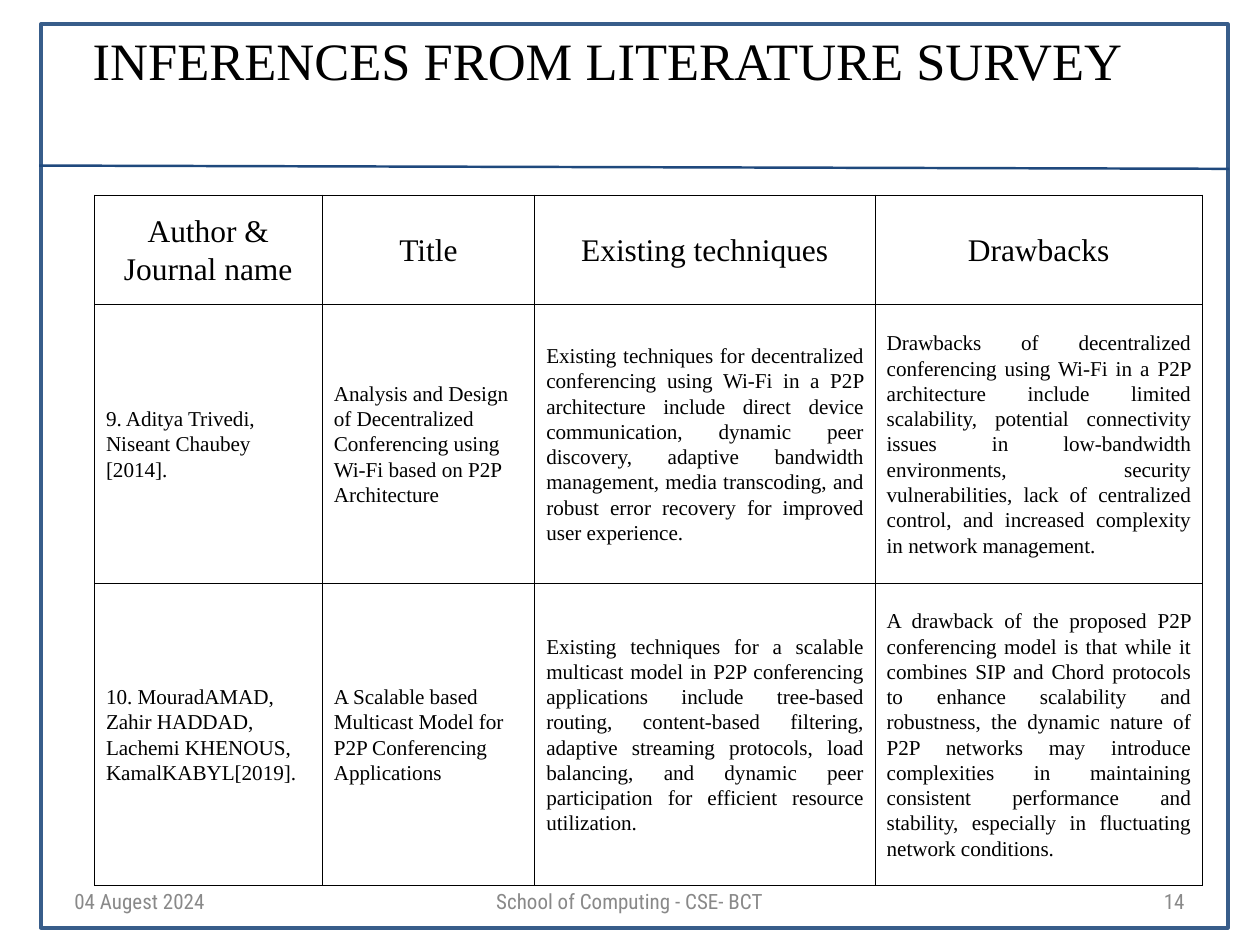
from lxml import etree
from pptx import Presentation, util as u
from pptx.dml.color import RGBColor
from pptx.enum import shapes, text
from pptx.oxml import parse_xml
from pptx.oxml.ns import nsdecls, qn

ALIGN = text.PP_ALIGN
ANCHOR = text.MSO_ANCHOR
SERIF = "Times New Roman"
SANS = "Roboto Condensed"
BLACK = "000000"
GREY = "898989"

HEADS = ["Author & Journal name", "Title", "Existing techniques", "Drawbacks"]
PAPERS = [
    [
        "9. Aditya Trivedi, Niseant Chaubey [2014].",
        "Analysis and Design of Decentralized Conferencing using Wi-Fi based on "
        "P2P Architecture",
        "Existing techniques for decentralized conferencing using Wi-Fi in a P2P "
        "architecture include direct device communication, dynamic peer discovery, "
        "adaptive bandwidth management, media transcoding, and robust error recovery "
        "for improved user experience.",
        "Drawbacks of decentralized conferencing using Wi-Fi in a P2P architecture "
        "include limited scalability, potential connectivity issues in low-bandwidth "
        "environments, security vulnerabilities, lack of centralized control, and "
        "increased complexity in network management.",
    ],
    [
        "10. MouradAMAD, Zahir HADDAD, Lachemi KHENOUS, KamalKABYL[2019].",
        "A Scalable based Multicast Model for P2P Conferencing Applications",
        "Existing techniques for a scalable multicast model in P2P conferencing "
        "applications include tree-based routing, content-based filtering, adaptive "
        "streaming protocols, load balancing, and dynamic peer participation for "
        "efficient resource utilization.",
        "A drawback of the proposed P2P conferencing model is that while it combines "
        "SIP and Chord protocols to enhance scalability and robustness, the dynamic "
        "nature of P2P networks may introduce complexities in maintaining consistent "
        "performance and stability, especially in fluctuating network conditions.",
    ],
]


def color(code):
    return RGBColor.from_string(code)


def write(frame, words, size, lead, align, font=SERIF, ink=BLACK):
    """Fill a text frame with one paragraph; lead is its line height in points."""
    frame.text = words
    para = frame.paragraphs[0]
    para.alignment = align
    para.line_spacing = u.Pt(lead)
    para.font.name = font
    para.font.size = u.Pt(size)
    para.font.color.rgb = color(ink)


def border(cell, ink, width):
    props = cell._tc.get_or_add_tcPr()
    for spot, side in enumerate(("lnL", "lnR", "lnT", "lnB")):
        line = parse_xml(
            f'<a:{side} {nsdecls("a")} w="{u.Pt(width)}"><a:solidFill>'
            f'<a:srgbClr val="{ink}"/></a:solidFill></a:{side}>'
        )
        props.insert(spot, line)


class Page:
    """Holds the current slide and draws elements on it; lengths are in cm."""

    def __init__(self, deck):
        self.slide = deck.slides.add_slide(deck.slide_layouts[5])
        self.shapes = self.slide.shapes

    def frame(self, box, ink, width):
        rect = self.shapes.add_shape(shapes.MSO_SHAPE.RECTANGLE, *map(u.Cm, box))
        rect.shadow.inherit = False
        rect.fill.background()
        rect.line.color.rgb = color(ink)
        rect.line.width = u.Pt(width)

    def rule(self, ends, ink, width):
        line = self.shapes.add_connector(
            shapes.MSO_CONNECTOR.STRAIGHT, *map(u.Cm, ends)
        )
        line.line.color.rgb = color(ink)
        line.line.width = u.Pt(width)
        etree.SubElement(line._element.spPr, qn("a:effectLst"))

    def place(self, shape, box):
        """Move a text shape and strip its margins."""
        shape.left, shape.top, shape.width, shape.height = map(u.Cm, box)
        frame = shape.text_frame
        frame.margin_left = frame.margin_right = 0
        frame.margin_top = frame.margin_bottom = 0
        frame.word_wrap = True
        frame.auto_size = text.MSO_AUTO_SIZE.NONE
        frame.vertical_anchor = ANCHOR.TOP
        return frame

    def title(self, words, box):
        frame = self.place(self.shapes.title, box)
        write(frame, words, 32, 38.4, ALIGN.CENTER)

    def label(self, words, box, align):
        frame = self.place(self.shapes.add_textbox(0, 0, 0, 0), box)
        write(frame, words, 12.8, 15.3, align, SANS, GREY)

    def table(self, rows, left, top, widths, heights):
        grid = self.shapes.add_table(
            len(rows), len(widths), u.Cm(left), u.Cm(top),
            u.Cm(sum(widths)), u.Cm(sum(heights)),
        ).table
        grid.first_row = grid.horz_banding = False
        for col, width in zip(grid.columns, widths):
            col.width = u.Cm(width)
        for i, (row, height) in enumerate(zip(rows, heights)):
            grid.rows[i].height = u.Cm(height)
            for j, words in enumerate(row):
                self.cell(grid.cell(i, j), words, i == 0, j >= 2)

    def cell(self, cell, words, head, wide):
        cell.margin_left = cell.margin_right = u.Cm(0.25)
        cell.margin_top = cell.margin_bottom = u.Cm(0.25)
        cell.vertical_anchor = ANCHOR.MIDDLE
        cell.fill.background()
        border(cell, BLACK, 0.37)
        if head:
            write(cell.text_frame, words, 19.2, 23, ALIGN.CENTER)
        else:
            align = ALIGN.JUSTIFY if wide else ALIGN.LEFT
            write(cell.text_frame, words, 12.9, 15.4, align)


def main():
    deck = Presentation()
    deck.slide_width, deck.slide_height = u.Cm(27.1), u.Cm(20.32)
    page = Page(deck)
    page.frame((0.88, 0.52, 25.53, 19.43), "385D8A", 2.25)
    page.rule((0.84, 3.56, 26.44, 3.63), "1F497D", 1.5)
    page.title("INFERENCES FROM LITERATURE SURVEY", (1.14, 0.61, 23.88, 3.33))
    for words, left, width, align in (
        ("04 Augest 2024", 1.6, 5.82, ALIGN.LEFT),
        ("School of Computing - CSE- BCT", 9.5, 8.08, ALIGN.CENTER),
        ("14", 19.66, 5.82, ALIGN.RIGHT),
    ):
        page.label(words, (left, 19.1, width, 0.54), align)
    page.table(
        [HEADS] + PAPERS, 2.03, 4.19, (4.9, 4.57, 7.32, 7.04), (2.36, 5.99, 6.5)
    )
    deck.save("out.pptx")


if __name__ == "__main__":
    main()
